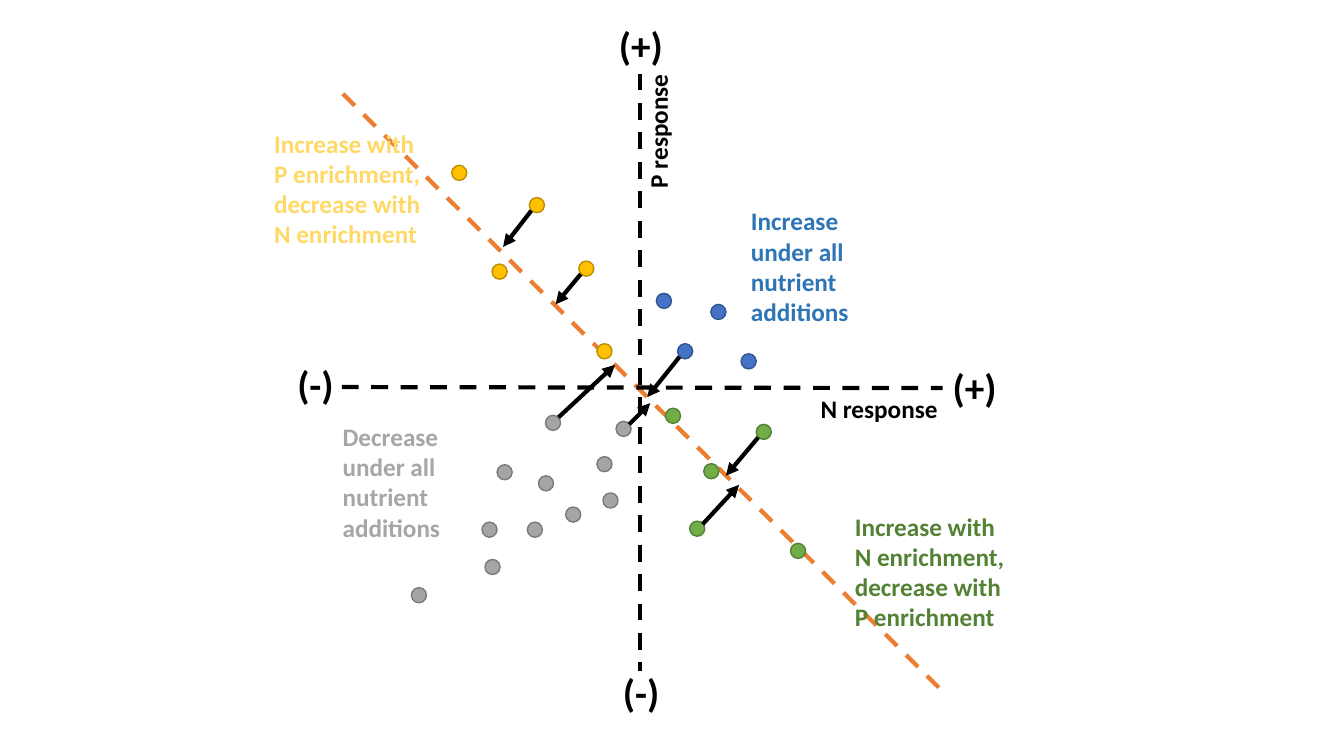
from lxml import etree
from pptx import Presentation
from pptx.dml.color import RGBColor
from pptx.enum.dml import MSO_LINE
from pptx.enum.shapes import MSO_CONNECTOR, MSO_SHAPE
from pptx.oxml.ns import qn
from pptx.util import Inches, Pt

STRAIGHT = MSO_CONNECTOR.STRAIGHT
OVAL = MSO_SHAPE.OVAL
DASH = MSO_LINE.DASH
FONT = "Calibri"
DOT = 0.15

COLORS = {
    "black": "000000",
    "diagonal": "ED7D31",
    "yellow": "FFC000", "yellow_edge": "BD8E00", "yellow_text": "FFD966",
    "green": "70AD47", "green_edge": "538035", "green_text": "548235",
    "blue": "4472C4", "blue_edge": "325491", "blue_text": "2E75B6",
    "gray": "A5A5A5", "gray_edge": "7A7A7A", "gray_text": "A6A6A6",
}


def rgb(name):
    return RGBColor.from_string(COLORS[name])


def add_line(x1, y1, x2, y2, color="black"):
    c = s.shapes.add_connector(STRAIGHT, Inches(x1), Inches(y1), Inches(x2), Inches(y2))
    c.line.color.rgb = rgb(color)
    c.line.width = Pt(3)
    etree.SubElement(c._element.spPr, qn("a:effectLst"))
    return c


prs = Presentation()
prs.slide_width = Inches(13.33)
prs.slide_height = Inches(7.5)
s = prs.slides.add_slide(prs.slide_layouts[6])

axes = [
    (3.4, 0.93, 9.35, 6.86, "diagonal"),
    (6.35, 0.73, 6.35, 6.66, "black"),
    (3.39, 3.84, 9.35, 3.85, "black"),
]
for axis in axes:
    add_line(*axis).line.dash_style = DASH

dots = {
    "yellow": [(5.25, 1.96), (4.48, 1.64), (4.88, 2.62), (5.74, 2.59), (5.92, 3.41)],
    "green": [(6.6, 4.05), (7.5, 4.21), (6.98, 4.6), (6.84, 5.17), (7.84, 5.39)],
    "gray": [(5.41, 4.12), (5.92, 4.53), (5.34, 4.72), (6.11, 4.18), (5.61, 5.03),
             (4.78, 5.18), (5.23, 5.18), (4.93, 4.61), (4.81, 5.55), (5.98, 4.89),
             (4.08, 5.83)],
    "blue": [(6.72, 3.41), (6.51, 2.91), (7.35, 3.51), (7.05, 3.02)],
}
for group, points in dots.items():
    for x, y in points:
        sp = s.shapes.add_shape(OVAL, Inches(x), Inches(y), Inches(DOT), Inches(DOT))
        sp.shadow.inherit = False
        sp.fill.solid()
        sp.fill.fore_color.rgb = rgb(group)
        sp.line.color.rgb = rgb(group + "_edge")
        sp.line.width = Pt(1)

labels = [
    ("P response", 5.66, 0.9, 1.73, 0.4, 18, "black", 270),
    ("N response", 8.04, 3.85, 1.73, 0.4, 18, "black", 0),
    ("(+)", 6.04, 0.16, 1.09, 0.57, 28, "black", 0),
    ("(+)", 9.35, 3.56, 1.09, 0.57, 28, "black", 0),
    ("(-)", 2.85, 3.53, 1.09, 0.57, 28, "black", 0),
    ("(-)", 6.08, 6.58, 1.09, 0.57, 28, "black", 0),
    ("Increase under all nutrient additions", 7.35, 1.99, 1.73, 1.31, 18, "blue_text", 0),
    ("Increase with N enrichment, decrease with P enrichment",
     8.38, 5.02, 1.73, 1.31, 18, "green_text", 0),
    ("Increase with P enrichment, decrease with N enrichment",
     2.62, 1.22, 1.73, 1.31, 18, "yellow_text", 0),
    ("Decrease under all nutrient additions", 3.3, 4.13, 1.73, 1.31, 18, "gray_text", 0),
]
for text, x, y, w, h, size, color, rotation in labels:
    sp = s.shapes.add_textbox(Inches(x), Inches(y), Inches(w), Inches(h))
    sp.rotation = rotation
    tf = sp.text_frame
    tf.word_wrap = True
    tf.text = text
    r = tf.paragraphs[0].runs[0]
    r.font.name = FONT
    r.font.size = Pt(size)
    r.font.bold = True
    r.font.color.rgb = rgb(color)

arrows = [
    (5.27, 2.09, 4.99, 2.45),
    (5.76, 2.72, 5.51, 3.02),
    (6.97, 5.2, 7.33, 4.81),
    (7.52, 4.34, 7.2, 4.72),
    (6.74, 3.54, 6.42, 3.94),
    (5.54, 4.14, 6.1, 3.62),
    (6.24, 4.21, 6.45, 4),
]
for arrow in arrows:
    c = add_line(*arrow)
    ln = c._element.spPr.find(qn("a:ln"))
    etree.SubElement(ln, qn("a:tailEnd"), type="triangle")

prs.save("out.pptx")
